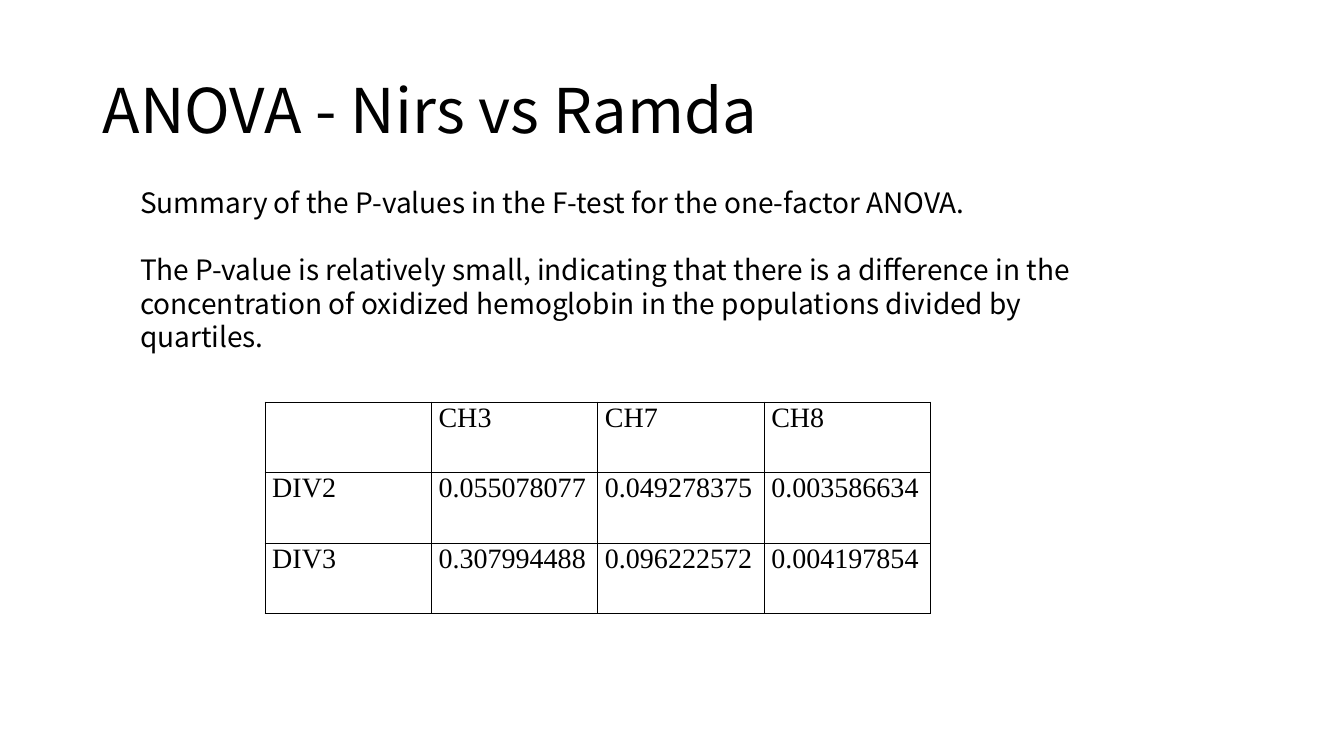
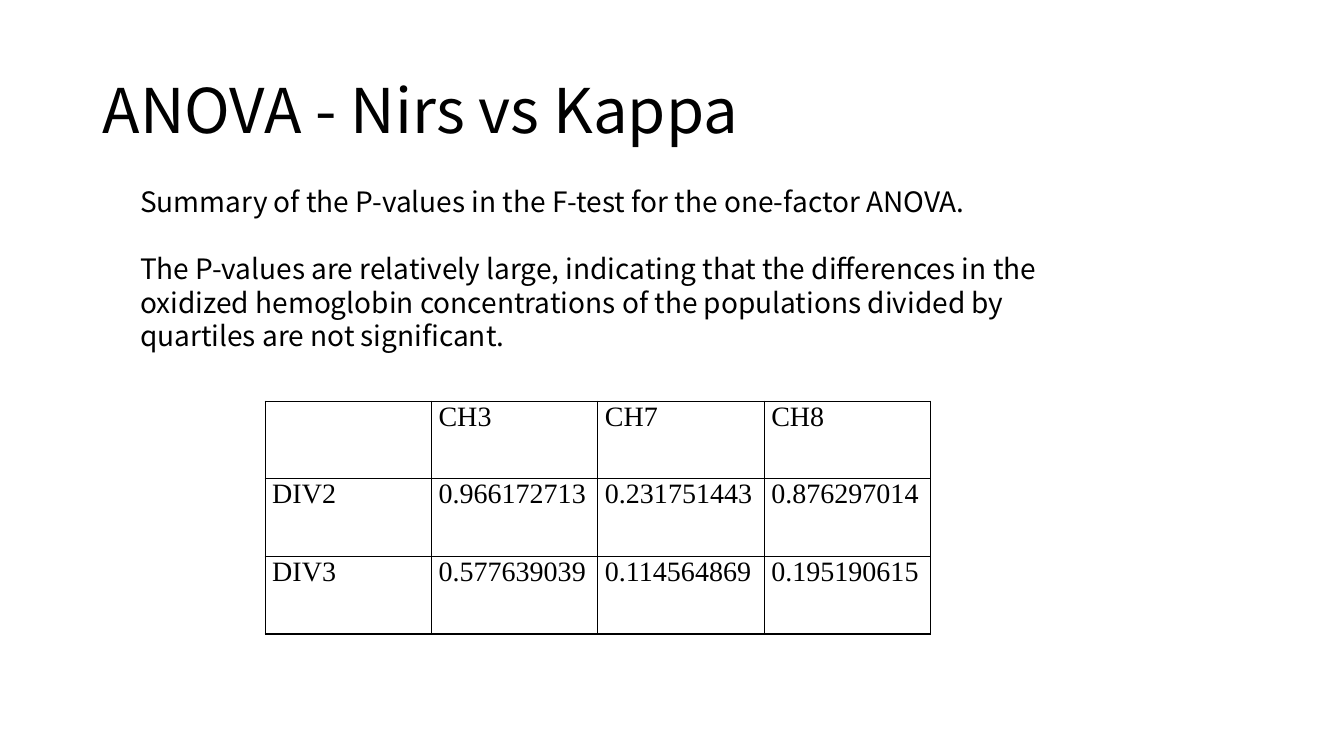
from dataclasses import dataclass

from lxml import etree
from pptx import Presentation
from pptx.dml.color import RGBColor
from pptx.enum.text import MSO_ANCHOR, MSO_AUTO_SIZE, PP_ALIGN
from pptx.oxml.ns import qn
from pptx.util import Inches, Pt

LEFT, JUSTIFY = PP_ALIGN.LEFT, PP_ALIGN.JUSTIFY
MIDDLE, TOP = MSO_ANCHOR.MIDDLE, MSO_ANCHOR.TOP
NO_AUTOFIT = MSO_AUTO_SIZE.NONE
TITLE_ONLY = 5


@dataclass(frozen=True)
class Theme:
    ink: str = "000000"
    paper: str = "FFFFFF"
    text_font: str = "Noto Sans CJK JP"
    table_font: str = "Times New Roman"
    title_size: int = 44
    body_size: int = 20
    body_pitch: int = 24
    border_width: int = 1


THEME = Theme()

# Slide content
CHANNELS = ["", "CH3", "CH7", "CH8"]
SUMMARY = "Summary of the P-values in the F-test for the one-factor ANOVA."
SLIDES = [
    {
        "title": "ANOVA - Nirs vs Ramda",
        "finding": "The P-value is relatively small, indicating that there is a "
                   "difference in the concentration of oxidized hemoglobin in the "
                   "populations divided by quartiles.",
        "p_values": [
            ["DIV2", "0.055078077", "0.049278375", "0.003586634"],
            ["DIV3", "0.307994488", "0.096222572", "0.004197854"],
        ],
        "body_top": 1.79,
        "row_height": 0.7,
    },
    {
        "title": "ANOVA - Nirs vs Kappa",
        "finding": "The P-values are relatively large, indicating that the "
                   "differences in the oxidized hemoglobin concentrations of the "
                   "populations divided by quartiles are not significant.",
        "p_values": [
            ["DIV2", "0.966172713", "0.231751443", "0.876297014"],
            ["DIV3", "0.577639039", "0.114564869", "0.195190615"],
        ],
        "body_top": 1.78,
        "row_height": 0.77,
    },
]
TABLE_OFFSET = 2.2
COLUMN_WIDTH = 1.65


def add_run(paragraph, text, size, font_name):
    run = paragraph.add_run()
    run.text = text
    run.font.size = Pt(size)
    run.font.name = font_name
    run.font.bold = False
    run.font.color.rgb = RGBColor.from_string(THEME.ink)


def set_title(slide, text):
    title = slide.shapes.title
    title.left, title.top = Inches(0.92), Inches(0.4)
    title.width, title.height = Inches(11.5), Inches(1.45)
    frame = title.text_frame
    frame.word_wrap = True
    frame.auto_size = NO_AUTOFIT
    frame.vertical_anchor = MIDDLE
    paragraph = frame.paragraphs[0]
    paragraph.alignment = LEFT
    paragraph.line_spacing = 0.9
    add_run(paragraph, text, THEME.title_size, THEME.text_font)


def add_body(slide, texts, top):
    box = slide.shapes.add_textbox(Inches(1.29), Inches(top), Inches(9.71), Inches(2.09))
    frame = box.text_frame
    frame.word_wrap = True
    for index, text in enumerate(texts):
        paragraph = frame.add_paragraph() if index else frame.paragraphs[0]
        paragraph.line_spacing = Pt(THEME.body_pitch)
        if index:
            paragraph.space_before = Pt(THEME.body_pitch)
        add_run(paragraph, text, THEME.body_size, THEME.text_font)


def set_borders(cell):
    properties = cell._tc.get_or_add_tcPr()
    for position, side in enumerate(("a:lnL", "a:lnR", "a:lnT", "a:lnB")):
        line = etree.Element(qn(side), w=str(Pt(THEME.border_width)))
        fill = etree.SubElement(line, qn("a:solidFill"))
        etree.SubElement(fill, qn("a:srgbClr"), val=THEME.ink)
        properties.insert(position, line)


def format_cell(cell, text):
    cell.fill.background()
    set_borders(cell)
    cell.margin_left = cell.margin_right = Inches(0.07)
    cell.margin_top = cell.margin_bottom = 0
    cell.vertical_anchor = TOP
    if text:
        paragraph = cell.text_frame.paragraphs[0]
        paragraph.alignment = JUSTIFY
        add_run(paragraph, text, THEME.body_size, THEME.table_font)


def add_table(slide, rows, top, row_height):
    column_count = len(rows[0])
    table = slide.shapes.add_table(
        len(rows), column_count, Inches(2.63), Inches(top),
        Inches(COLUMN_WIDTH * column_count), Inches(row_height * len(rows)),
    ).table
    table.first_row = table.horz_banding = False
    for column in table.columns:
        column.width = Inches(COLUMN_WIDTH)
    for row, texts in zip(table.rows, rows):
        row.height = Inches(row_height)
        for cell, text in zip(row.cells, texts):
            format_cell(cell, text)


def add_anova_slide(presentation, content):
    slide = presentation.slides.add_slide(presentation.slide_layouts[TITLE_ONLY])
    set_title(slide, content["title"])
    add_body(slide, [SUMMARY, content["finding"]], content["body_top"])
    add_table(slide, [CHANNELS] + content["p_values"],
              content["body_top"] + TABLE_OFFSET, content["row_height"])


def main():
    presentation = Presentation()
    presentation.slide_width = Inches(13.33)
    presentation.slide_height = Inches(7.5)

    # Shared background
    background = presentation.slide_master.background.fill
    background.solid()
    background.fore_color.rgb = RGBColor.from_string(THEME.paper)

    for content in SLIDES:
        add_anova_slide(presentation, content)
    presentation.save("out.pptx")


if __name__ == "__main__":
    main()
